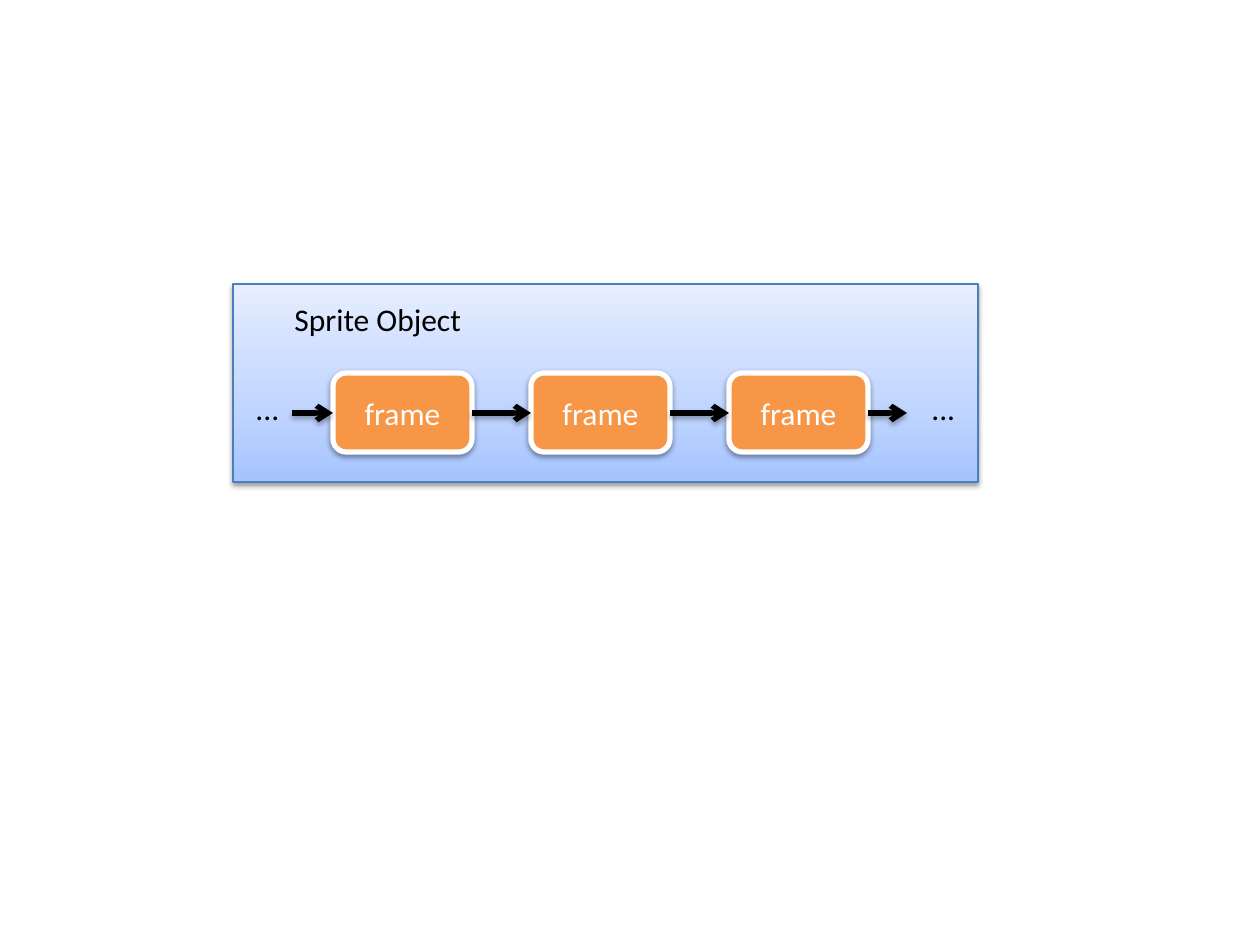
from copy import deepcopy

from lxml import etree
from pptx import Presentation
from pptx.dml.color import RGBColor
from pptx.enum.shapes import MSO_CONNECTOR, MSO_SHAPE
from pptx.enum.text import MSO_ANCHOR, MSO_AUTO_SIZE, PP_ALIGN
from pptx.oxml.ns import qn
from pptx.util import Emu, Pt

RECT, ROUNDED = MSO_SHAPE.RECTANGLE, MSO_SHAPE.ROUNDED_RECTANGLE
STRAIGHT = MSO_CONNECTOR.STRAIGHT
MIDDLE, CENTER, LEFT = MSO_ANCHOR.MIDDLE, PP_ALIGN.CENTER, PP_ALIGN.LEFT
TOP, GROW = MSO_ANCHOR.TOP, MSO_AUTO_SIZE.SHAPE_TO_FIT_TEXT

EMU_PER_PIXEL = 914400 / 126
PANEL_STOPS = [(0, "A4C4FF"), (0.35, "BFD4FF"), (1, "E6EEFF")]
FRAME_COUNT, FRAME_PITCH = 3, 198
FRAME_LEFT, FRAME_TOP, FRAME_WIDTH, FRAME_HEIGHT = 100, 89, 139, 79
LABEL = {"word_wrap": True, "auto_size": GROW, "vertical_anchor": TOP}
DOTS = {**LABEL, "word_wrap": False}
CAPTION = {"word_wrap": True, "vertical_anchor": MIDDLE}


def px(*lengths):
    """Turn pixel lengths into EMU."""
    return [Emu(round(length * EMU_PER_PIXEL)) for length in lengths]


def rgb(value):
    """Return the colour for a hex string."""
    return RGBColor.from_string(value)


def set_format(target, values):
    """Set each attribute named in a dict."""
    for name, value in values.items():
        setattr(target, name, value)


def set_line(line, color, width):
    """Colour a line and set its width in points."""
    line.color.rgb = rgb(color)
    line.width = Pt(width)


def add_shadow(part, opacity, distance):
    """Give a part a soft black shadow straight below it."""
    properties = part._element.spPr
    for old in properties.findall(qn("a:effectLst")):
        properties.remove(old)
    effects = etree.SubElement(properties, qn("a:effectLst"))
    shadow = etree.SubElement(
        effects, qn("a:outerShdw"), blurRad=str(Pt(3.1)),
        dist=str(Pt(distance)), dir="5400000", rotWithShape="0")
    color = etree.SubElement(shadow, qn("a:srgbClr"), val="000000")
    etree.SubElement(color, qn("a:alpha"), val=str(opacity * 1000))


def write(holder, text, color, align, frame_format):
    """Write one line of text into a shape or text box."""
    set_format(holder.text_frame, frame_format)
    paragraph = holder.text_frame.paragraphs[0]
    paragraph.alignment = align
    run = paragraph.add_run()
    run.text = text
    set_format(run.font, {"name": "Calibri", "size": Pt(18)})
    run.font.color.rgb = rgb(color)


def add_label(slide, text, box, frame_format):
    """Add a black text box."""
    label = slide.shapes.add_textbox(*px(*box))
    write(label, text, "000000", LEFT, frame_format)


def add_panel(slide, box):
    """Add the shaded background of the object."""
    panel = slide.shapes.add_shape(RECT, *px(*box))
    panel.fill.gradient()
    panel.fill.gradient_angle = 90
    stop_list = panel._element.spPr.find(".//" + qn("a:gsLst"))
    stop_list.append(deepcopy(stop_list[0]))
    for stop, (position, color) in zip(panel.fill.gradient_stops, PANEL_STOPS):
        stop.position = position
        stop.color.rgb = rgb(color)
    set_line(panel.line, "4B7EBC", 0.75)
    add_shadow(panel, 38, 1.6)


def add_frame(slide, box):
    """Add one frame of the sprite."""
    frame = slide.shapes.add_shape(ROUNDED, *px(*box))
    frame.fill.solid()
    frame.fill.fore_color.rgb = rgb("F79646")
    set_line(frame.line, "FFFFFF", 3)
    add_shadow(frame, 38, 1.6)
    write(frame, "frame", "FFFFFF", CENTER, CAPTION)


def add_arrow(slide, start, end, y):
    """Add a level arrow pointing right."""
    arrow = slide.shapes.add_connector(STRAIGHT, *px(start, y, end, y))
    set_line(arrow.line, "000000", 3)
    etree.SubElement(arrow.line._get_or_add_ln(), qn("a:tailEnd"), type="arrow")
    add_shadow(arrow, 35, 1.8)


def add_sprite_object(slide, left, top, width, height):
    """Draw the sprite object with its chain of frames inside a box."""
    add_panel(slide, (left, top, width, height))
    starts = [left + FRAME_LEFT + i * FRAME_PITCH for i in range(FRAME_COUNT)]
    for start in starts:
        add_frame(slide, (start, top + FRAME_TOP, FRAME_WIDTH, FRAME_HEIGHT))
    add_label(slide, "Sprite Object", (left + 49, top + 10, 228, 50), LABEL)
    tails = [left + 59] + [start + FRAME_WIDTH for start in starts]
    heads = starts + [left + 674]
    for tail, head in zip(tails, heads):
        add_arrow(slide, tail, head, top + 129)
    for offset in (686, 10):
        add_label(slide, "...", (left + offset, top + 99, 49, 50), DOTS)


def main():
    """Build and save the presentation."""
    deck = Presentation()
    deck.slide_width, deck.slide_height = px(1260, 945)
    slide = deck.slides.add_slide(deck.slide_layouts[6])
    add_sprite_object(slide, 233, 284, 745, 198)
    deck.save("out.pptx")


main()
